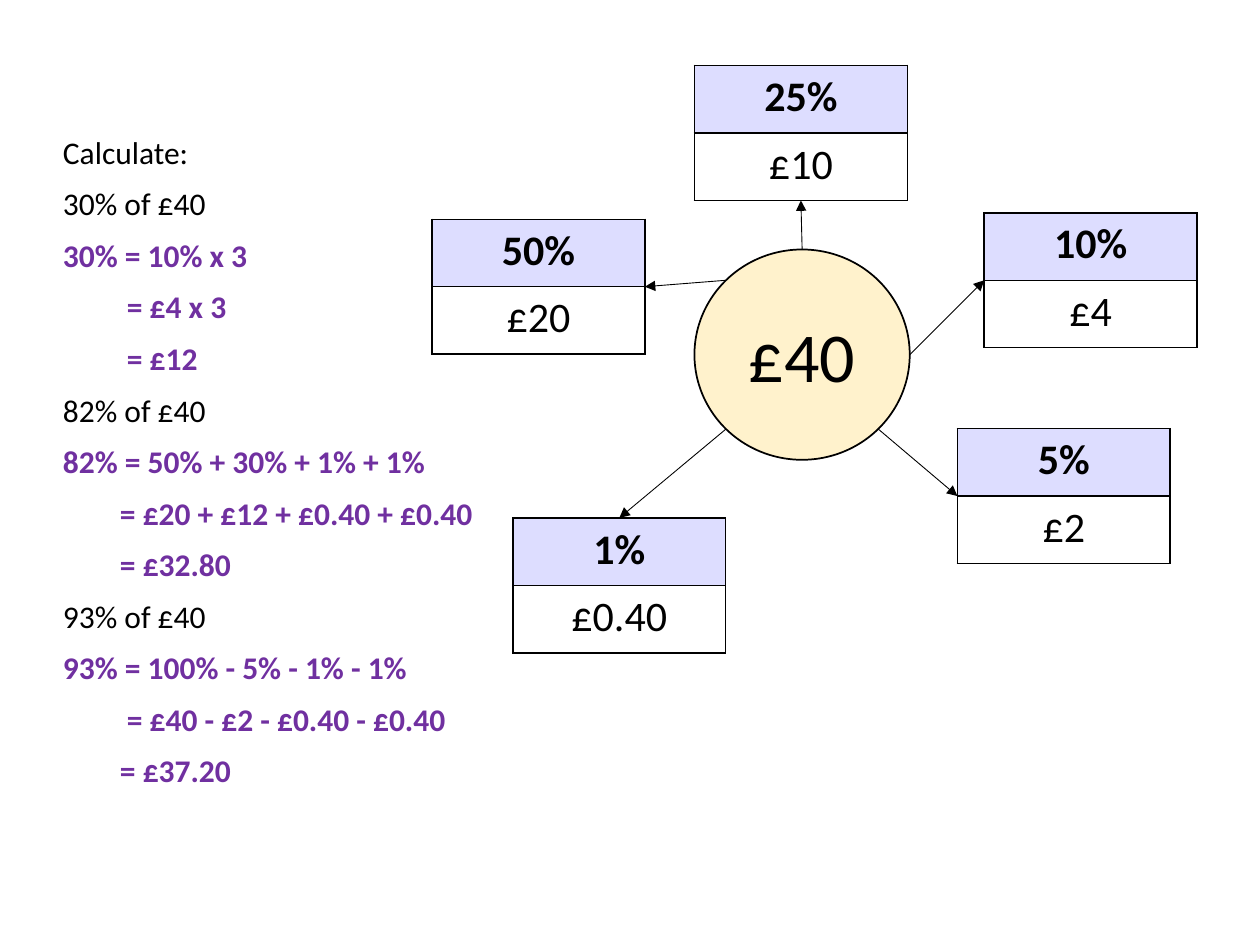
import math

from lxml import etree
from pptx import Presentation
from pptx import util as u
from pptx.dml import color
from pptx.enum import shapes, text
from pptx.oxml import ns

Cm, Pt = u.Cm, u.Pt
FONT = "Calibri"
COLOURS = {"ink": "000000", "answer": "7030A0", "header": "DDDDFF", "circle": "FFF2CC"}
CARD_WIDTH, ROW_HEIGHT = 4.29, 1.36

# Each line: wording, whether it is an answer, left indent in cm
WORKINGS = [
    ("Calculate:", False, 0),
    ("30% of £40", False, 0),
    ("30% = 10% x 3", True, 0),
    ("= £4 x 3", True, 1.29),
    ("= £12", True, 1.29),
    ("82% of £40", False, 0),
    ("82% = 50% + 30% + 1% + 1%", True, 0),
    ("= £20 + £12 + £0.40 + £0.40", True, 1.15),
    ("= £32.80", True, 1.15),
    ("93% of £40", False, 0),
    ("93% = 100% - 5% - 1% - 1%", True, 0),
    ("= £40 - £2 - £0.40 - £0.40", True, 1.29),
    ("= £37.20", True, 1.15),
]

# Each card: percentage, amount, left and top in cm,
# angle where its arrow leaves the circle, side of the card it reaches
CARDS = [
    ("25%", "£10", 14.0, 1.32, -90, "bottom"),
    ("50%", "£20", 8.71, 4.42, -135, "right"),
    ("10%", "£4", 19.84, 4.29, 0, "left"),
    ("5%", "£2", 19.3, 8.64, 45, "left"),
    ("1%", "£0.40", 10.34, 10.44, 135, "top"),
]
SIDES = {"left": (0, 0.5), "right": (1, 0.5), "top": (0.5, 0), "bottom": (0.5, 1)}


def rgb(name):
    return color.RGBColor.from_string(COLOURS[name])


def style(paragraph, size, colour="ink", bold=False, align=text.PP_ALIGN.LEFT):
    paragraph.alignment = align
    font = paragraph.font
    font.name, font.size, font.bold = FONT, Pt(size), bold
    font.color.rgb = rgb(colour)


def add_workings(slide, left, top, width, height):
    frame = slide.shapes.add_textbox(Cm(left), Cm(top), Cm(width), Cm(height)).text_frame
    frame.word_wrap = True
    for i, (wording, is_answer, indent) in enumerate(WORKINGS):
        paragraph = frame.add_paragraph() if i else frame.paragraphs[0]
        paragraph.text = wording
        paragraph.line_spacing = 0.9
        paragraph.space_before = Pt(10 if i else 0)
        style(paragraph, 18, "answer" if is_answer else "ink", is_answer)
        if indent:
            paragraph._p.get_or_add_pPr().set("marL", str(Cm(indent)))


def add_borders(cell):
    properties = cell._tc.get_or_add_tcPr()
    for edge in ("lnL", "lnR", "lnT", "lnB"):
        line = etree.SubElement(properties, ns.qn(f"a:{edge}"), w=str(Pt(1)))
        fill = etree.SubElement(line, ns.qn("a:solidFill"))
        etree.SubElement(fill, ns.qn("a:srgbClr"), val=COLOURS["ink"])


def add_card(slide, percentage, amount, left, top):
    table = slide.shapes.add_table(
        2, 1, Cm(left), Cm(top), Cm(CARD_WIDTH), Cm(2 * ROW_HEIGHT)).table
    table.first_row = table.horz_banding = False
    for row, wording in enumerate((percentage, amount)):
        cell = table.cell(row, 0)
        cell.text = wording
        style(cell.text_frame.paragraphs[0], 24, bold=row == 0, align=text.PP_ALIGN.CENTER)
        add_borders(cell)
        if row == 0:
            cell.fill.solid()
            cell.fill.fore_color.rgb = rgb("header")
        else:
            cell.fill.background()


def add_arrow(slide, start, end):
    arrow = slide.shapes.add_connector(
        shapes.MSO_CONNECTOR.STRAIGHT, *(Cm(length) for length in (*start, *end)))
    arrow.line.color.rgb = rgb("ink")
    arrow.line.width = Pt(0.5)
    etree.SubElement(arrow.line._get_or_add_ln(), ns.qn("a:tailEnd"), type="triangle")
    etree.SubElement(arrow._element.spPr, ns.qn("a:effectLst"))


def add_diagram(slide, left, top, width, height):
    # Whole amount in the middle
    whole = slide.shapes.add_shape(
        shapes.MSO_SHAPE.OVAL, Cm(left), Cm(top), Cm(width), Cm(height))
    whole.shadow.inherit = False
    whole.fill.solid()
    whole.fill.fore_color.rgb = rgb("circle")
    whole.line.color.rgb = rgb("ink")
    whole.line.width = Pt(1)
    whole.text_frame.text = "£40"
    whole.text_frame.vertical_anchor = text.MSO_ANCHOR.MIDDLE
    style(whole.text_frame.paragraphs[0], 40, align=text.PP_ALIGN.CENTER)

    # Percentage cards, each with its arrow
    for percentage, amount, card_left, card_top, degrees, side in CARDS:
        add_card(slide, percentage, amount, card_left, card_top)
        angle = math.radians(degrees)
        start = (left + width / 2 * (1 + math.cos(angle)),
                 top + height / 2 * (1 + math.sin(angle)))
        across, down = SIDES[side]
        end = (card_left + across * CARD_WIDTH, card_top + down * 2 * ROW_HEIGHT)
        add_arrow(slide, start, end)


def main():
    deck = Presentation()
    deck.slide_width, deck.slide_height = Cm(25.4), Cm(19.05)
    slide = deck.slides.add_slide(deck.slide_layouts.get_by_name("Blank"))
    add_workings(slide, 1.02, 2.64, 23.11, 13.92)
    add_diagram(slide, 14.0, 5.03, 4.34, 4.24)
    deck.save("out.pptx")


if __name__ == "__main__":
    main()
